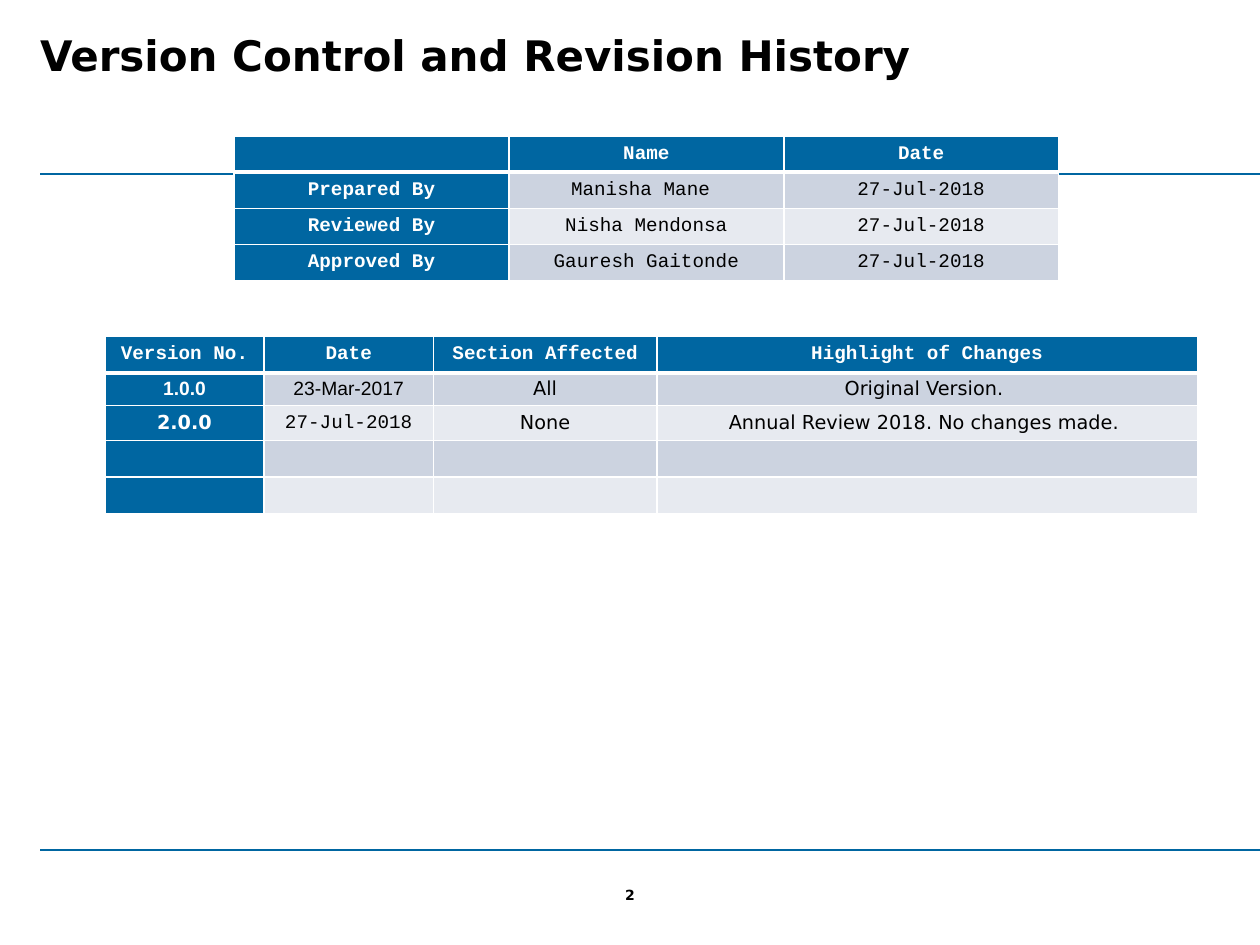
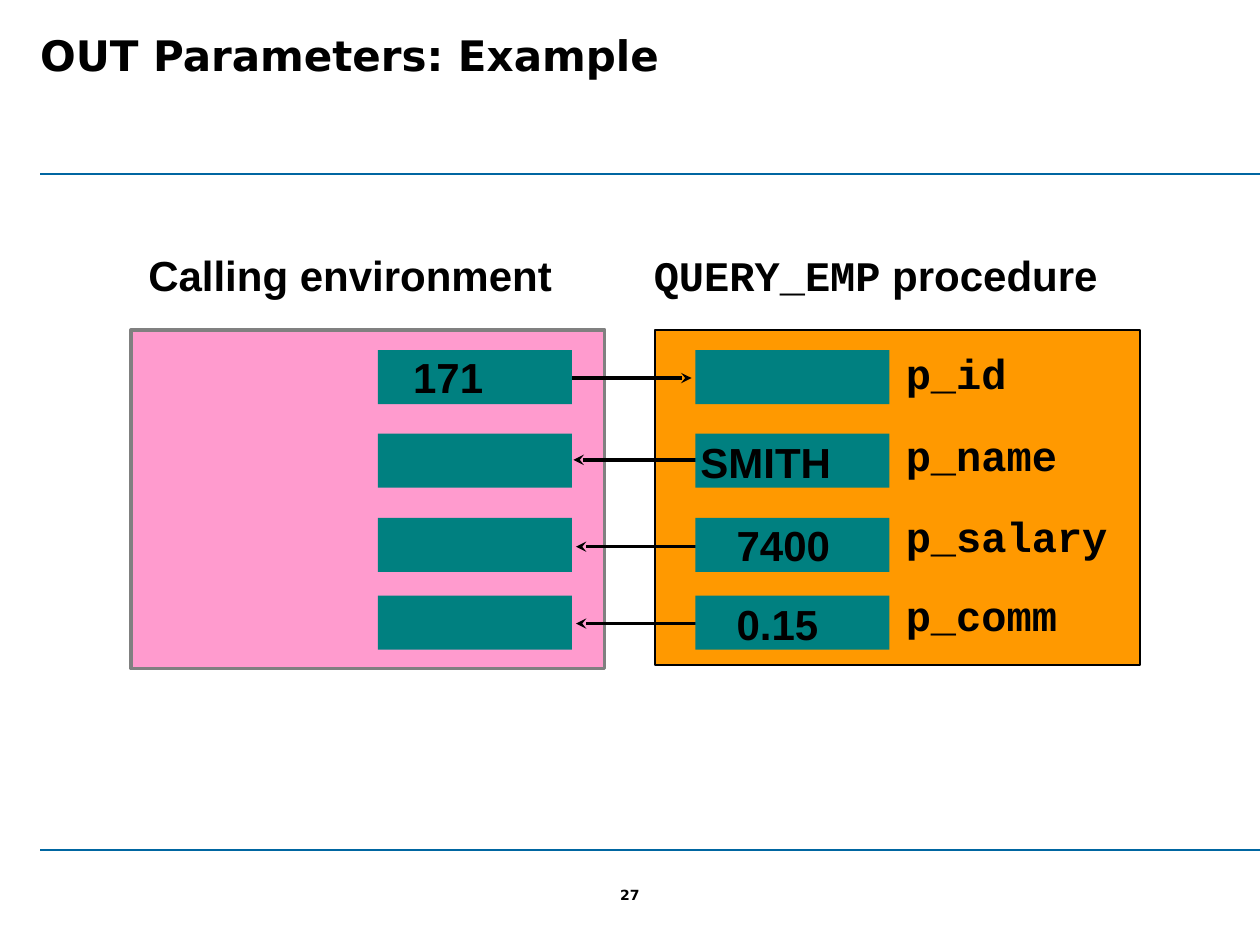
from lxml import etree
from pptx import Presentation
from pptx.dml.color import RGBColor
from pptx.enum.shapes import MSO_CONNECTOR, MSO_SHAPE
from pptx.enum.text import MSO_ANCHOR, PP_ALIGN
from pptx.oxml.ns import qn
from pptx.util import Cm, Pt

STRAIGHT = MSO_CONNECTOR.STRAIGHT
RECTANGLE = MSO_SHAPE.RECTANGLE
MIDDLE = MSO_ANCHOR.MIDDLE
CENTER = PP_ALIGN.CENTER

COLORS = {
    "brand": "0066A1", "black": "000000", "white": "FFFFFF",
    "band_dark": "CCD3E0", "band_light": "E7EAF0",
    "caller": "FF9BCE", "caller_line": "808080",
    "procedure": "FF9900", "variable": "008080",
}
SANS, ARIAL, MONO = "DejaVu Sans", "Arial", "Courier New"


def color(name):
    return RGBColor.from_string(COLORS[name])


def add_text(text, *, paragraph=None, slide=None, box=None, wrap=True, margins=(0.25, 0.13),
             font=ARIAL, size=24, fill="black", bold=True, align=None, anchor=None):
    """Add a run to the paragraph, or to a new text box when none is given."""
    if paragraph is None:
        frame = slide.shapes.add_textbox(*(Cm(length) for length in box)).text_frame
        frame.word_wrap = wrap
        frame.margin_left = frame.margin_right = Cm(margins[0])
        frame.margin_top = frame.margin_bottom = Cm(margins[1])
        frame.vertical_anchor = anchor
        paragraph = frame.paragraphs[0]
    if align is not None:
        paragraph.alignment = align
    run = paragraph.add_run()
    run.text = text
    run.font.name = font
    run.font.size = Pt(size)
    run.font.bold = bold
    run.font.color.rgb = color(fill)
    return paragraph


presentation = Presentation()
presentation.slide_width = Cm(25.4)
presentation.slide_height = Cm(19.05)
connectors = []

# Shared frame: page number, rules and title
slides = []
for number, title in [(2, "Version Control and Revision History"),
                      (27, "OUT Parameters: Example")]:
    slide = presentation.slides.add_slide(presentation.slide_layouts[6])
    slides.append(slide)
    add_text(str(number), slide=slide, box=(12.42, 17.88, 0.56, 0.33), wrap=False,
             margins=(0, 0), font=SANS, size=8, align=CENTER, anchor=MIDDLE)
    for height in (3.5, 17.14):
        rule = slide.shapes.add_connector(STRAIGHT, Cm(0.81), Cm(height), Cm(25.4), Cm(height))
        rule.line.color.rgb = color("brand")
        rule.line.width = Pt(1.25)
        connectors.append(rule)
    add_text(title, slide=slide, box=(0.81, 0.46, 24.1, 2.67), margins=(0, 0.13), font=SANS)
history_slide, example_slide = slides

# Tables: position, column widths, row heights, body margins, texts, body fonts
tables = [
    {
        "at": (4.72, 2.74), "columns": [5.54] * 3, "rows": [0.73] * 4, "margins": (0.18, 0.1),
        "texts": [["", "Name", "Date"],
                  ["Prepared By", "Manisha Mane ", "27-Jul-2018"],
                  ["Reviewed By", "Nisha Mendonsa", "27-Jul-2018"],
                  ["Approved By", "Gauresh Gaitonde", "27-Jul-2018"]],
        "fonts": [[MONO] * 3] * 4,
    },
    {
        "at": (2.12, 6.78), "columns": [3.2, 3.42, 4.5, 10.9],
        "rows": [0.74, 0.65, 0.71, 0.74, 0.74], "margins": (0.1, 0),
        "texts": [["Version No.", "Date", "Section Affected", "Highlight of Changes"],
                  ["1.0.0", "23-Mar-2017", "All", "Original Version. "],
                  ["2.0.0", "27-Jul-2018", "None", "Annual Review 2018. No changes made. "],
                  [""] * 4,
                  [""] * 4],
        "fonts": [[MONO] * 4, [ARIAL, ARIAL, SANS, SANS], [SANS, MONO, SANS, SANS],
                  [SANS] * 4, [SANS] * 4],
    },
]
for layout in tables:
    left, top = layout["at"]
    columns, rows = layout["columns"], layout["rows"]
    table = history_slide.shapes.add_table(
        len(rows), len(columns), Cm(left), Cm(top), Cm(sum(columns)), Cm(sum(rows))).table
    table.first_row = table.horz_banding = False
    for column, width in zip(table.columns, columns):
        column.width = Cm(width)
    for row_index, row in enumerate(table.rows):
        row.height = Cm(rows[row_index])
        for column_index, cell in enumerate(row.cells):
            is_heading = row_index == 0 or column_index == 0
            band = "band_dark" if row_index % 2 else "band_light"

            # White borders, heavier below the header row
            properties = cell._tc.get_or_add_tcPr()
            for side in "LRTB":
                heavy = (row_index, side) in [(0, "B"), (1, "T")]
                border = etree.SubElement(properties, qn(f"a:ln{side}"),
                                          w=str(Pt(3 if heavy else 1)))
                solid = etree.SubElement(border, qn("a:solidFill"))
                etree.SubElement(solid, qn("a:srgbClr"), val=COLORS["white"])
            cell.fill.solid()
            cell.fill.fore_color.rgb = color("brand" if is_heading else band)

            cell.vertical_anchor = MIDDLE
            horizontal, vertical = (0.1, 0.05) if row_index == 0 else layout["margins"]
            cell.margin_left = cell.margin_right = Cm(horizontal)
            cell.margin_top = cell.margin_bottom = Cm(vertical)
            paragraph = cell.text_frame.paragraphs[0]
            text = layout["texts"][row_index][column_index]
            if text:
                add_text(text, paragraph=paragraph, size=11, bold=is_heading, align=CENTER,
                         font=layout["fonts"][row_index][column_index],
                         fill="white" if is_heading else "black")
            else:
                etree.SubElement(paragraph._p, qn("a:endParaRPr"), sz="1100")

# Diagram: rectangles are (left, top, width, height, fill, line, line width)
panels = [(13.21, 6.65, 9.78, 6.76, "procedure", "black", 1),
          (2.64, 6.65, 9.55, 6.83, "caller", "caller_line", 2)]
box_tops = [7.06, 8.74, 10.44, 12.01]
boxes = [(left, top, 3.91, 1.09, "variable", None, 0)
         for left in (7.62, 14.02) for top in box_tops]
arrows = [(11.28, 13.94, 7.62), (14.35, 11.56, 9.27),
          (14.38, 11.61, 11.02), (14.38, 11.61, 12.57)]

# The arrow ends lie behind the boxes
for rectangles in (panels, boxes):
    for left, top, width, height, fill, line, line_width in rectangles:
        shape = example_slide.shapes.add_shape(
            RECTANGLE, Cm(left), Cm(top), Cm(width), Cm(height))
        shape.shadow.inherit = False
        shape.fill.solid()
        shape.fill.fore_color.rgb = color(fill)
        if line:
            shape.line.color.rgb = color(line)
            shape.line.width = Pt(line_width)
        else:
            shape.line.fill.background()
    if rectangles is panels:
        for start, end, height in arrows:
            arrow = example_slide.shapes.add_connector(
                STRAIGHT, Cm(start), Cm(height), Cm(end), Cm(height))
            arrow.line.color.rgb = color("black")
            arrow.line.width = Pt(2)
            etree.SubElement(arrow.line._get_or_add_ln(), qn("a:tailEnd"), type="stealth")
            connectors.append(arrow)

# Headings above the panels
add_text("Calling environment", slide=example_slide, box=(2.74, 4.9, 8.66, 1.24), wrap=False)
heading = add_text("QUERY_EMP", slide=example_slide, box=(12.93, 4.9, 10.46, 1.24), font=MONO)
add_text(" procedure", paragraph=heading)

# Values in the boxes and parameter names beside them
for text, left, top, width, font in [
    ("171", 8.08, 6.96, 2.97, ARIAL),
    ("SMITH", 13.87, 8.66, 4.27, ARIAL),
    ("7400", 14.6, 10.34, 2.79, ARIAL),
    ("0.15", 14.6, 11.94, 2.79, ARIAL),
    ("p_id", 18.01, 6.88, 2.6, MONO),
    ("p_name", 18.01, 8.53, 4.11, MONO),
    ("p_salary", 18.01, 10.16, 4.67, MONO),
    ("p_comm", 18.01, 11.76, 4.65, MONO),
]:
    add_text(text, slide=example_slide, box=(left, top, width, 1.24), font=font)

# Connectors without shadows
for connector in connectors:
    etree.SubElement(connector._element.spPr, qn("a:effectLst"))

presentation.save("out.pptx")
